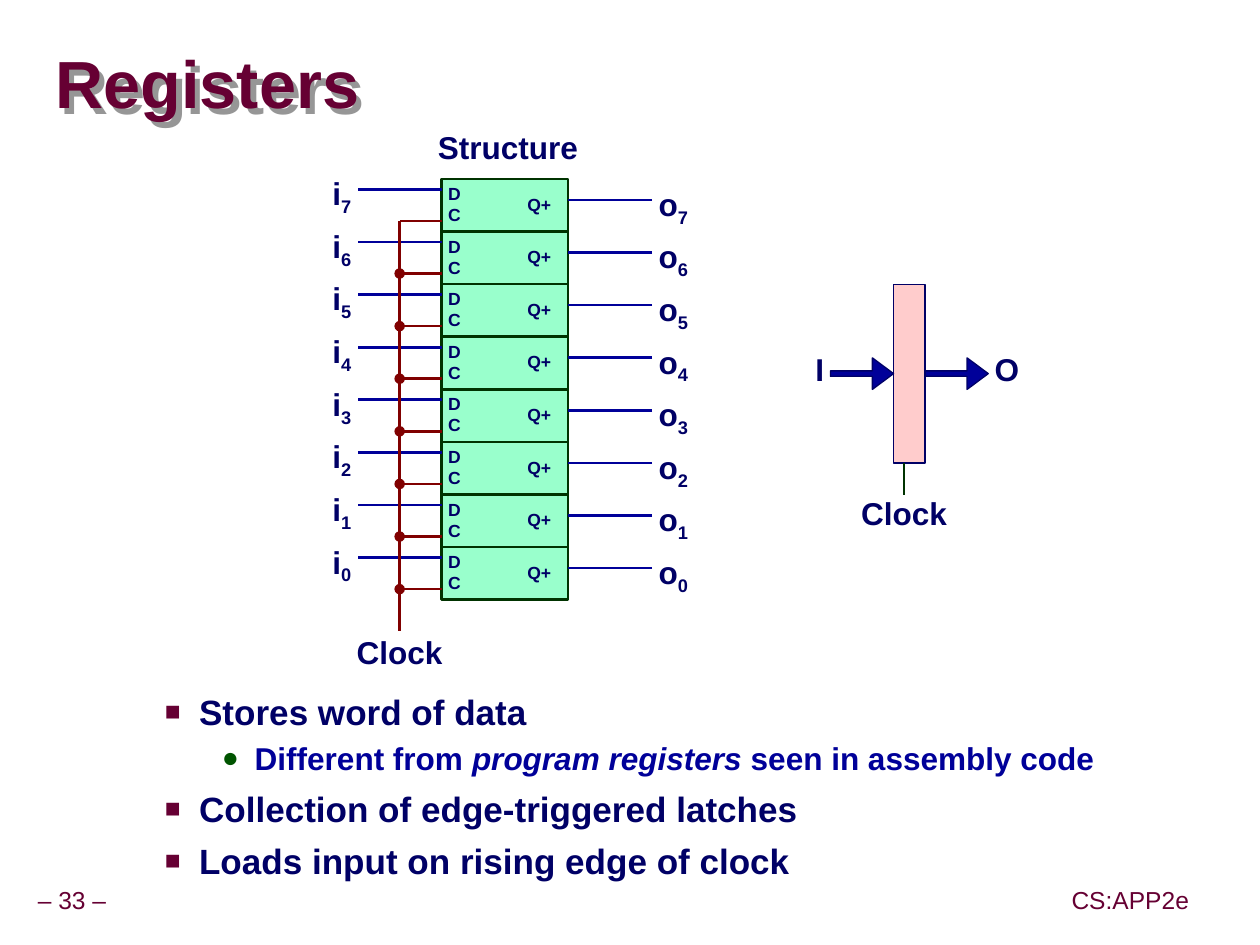
import dataclasses
import pptx
import pptx.util
import pptx.dml.color
import pptx.enum.shapes
import pptx.enum.text
import pptx.oxml
import pptx.oxml.ns

Cm = pptx.util.Cm
Pt = pptx.util.Pt
Kind = pptx.enum.shapes.MSO_SHAPE
Align = pptx.enum.text.PP_ALIGN
Anchor = pptx.enum.text.MSO_ANCHOR


@dataclasses.dataclass(frozen=True)
class Theme:
    font: str = "Arial"
    wine: str = "660033"
    navy: str = "000066"
    blue: str = "000099"
    red: str = "800000"
    green: str = "003300"
    leaf: str = "005400"
    mint: str = "99FFCC"
    pink: str = "FFCCCC"
    shade: str = "969696"
    head: int = 38
    main: int = 20
    label: int = 18
    foot: int = 14
    pin: int = 10
    wire: float = 1.5
    thin: float = 0.75


THEME = Theme()


def rgb(color):
    return pptx.dml.color.RGBColor.from_string(color)


def node(tag, inner="", **attrs):
    pairs = " ".join(f'{key}="{value}"' for key, value in attrs.items())
    space = pptx.oxml.ns.nsdecls("a")
    return pptx.oxml.parse_xml(f"<a:{tag} {space} {pairs}>{inner}</a:{tag}>")


def write(para, text, size=THEME.label, color=THEME.navy, bold=True,
          align=Align.LEFT, line=0.9, before=0, sub="", slant=""):
    para.alignment = align
    para.line_spacing = line
    para.space_before = Pt(before)
    start, mid, end = text.partition(slant) if slant else (text, "", "")
    for part in filter(None, (start, mid, end, sub)):
        run = para.add_run()
        run.text = part
        font = run.font
        font.name, font.size, font.bold = THEME.font, Pt(size), bold
        font.color.rgb = rgb(color)
        if part == slant:
            font.italic = True
        if part == sub:
            run._r.get_or_add_rPr().set("baseline", "-25000")


def frame(tree, box, pad=0.13, wrap=True):
    item = tree.add_textbox(*map(Cm, box)).text_frame
    item.word_wrap = wrap
    item.margin_left = item.margin_right = Cm(pad)
    item.margin_top = item.margin_bottom = Cm(0.13)
    return item


def label(tree, box, text, wrap=True, **form):
    write(frame(tree, box, wrap=wrap).paragraphs[0], text, **form)


def center(tree, mid, top, text, **form):
    width = 3.2
    label(tree, (mid - width / 2, top, width, 0.93), text,
          wrap=False, align=Align.CENTER, **form)


def block(tree, kind, box, fill, edge=None, width=THEME.wire):
    item = tree.add_shape(kind, *map(Cm, box))
    item.shadow.inherit = False
    item.fill.solid()
    item.fill.fore_color.rgb = rgb(fill)
    if edge:
        item.line.color.rgb = rgb(edge)
        item.line.width = Pt(width)
    else:
        item.line.fill.background()
    return item


def wire(tree, ends, color):
    item = tree.add_connector(pptx.enum.shapes.MSO_CONNECTOR.STRAIGHT,
                              *map(Cm, ends))
    item.line.color.rgb = rgb(color)
    item.line.width = Pt(THEME.wire)
    item._element.spPr.append(node("effectLst"))


def title(slide, box, text):
    item = slide.shapes.title
    item.left, item.top, item.width, item.height = map(Cm, box)
    body = item.text_frame
    body.margin_left = body.margin_right = 0
    body.margin_top = body.margin_bottom = 0
    body.vertical_anchor = Anchor.MIDDLE
    write(body.paragraphs[0], text, size=THEME.head, color=THEME.wine, line=0.87)
    shadow = (f'<a:outerShdw dist="{Cm(0.15)}" dir="2700000">'
              f'<a:srgbClr val="{THEME.shade}"/></a:outerShdw>')
    item._element.spPr.append(node("effectLst", shadow))


def latches(slide, box, count):
    x, y, w, h = box
    tree = slide.shapes.add_group_shape().shapes
    step = h / count
    unit = step / 5
    cell, end, bus = x + 14 * unit, x + 26 * unit, x + 10 * unit
    tall, wide, pin = 0.93, 6 * unit, 3 * unit
    for row in range(count):
        top = y + row * step
        bit = str(count - 1 - row)
        inlet, outlet, clock = (top + n * unit for n in (1, 2, 4))
        block(tree, Kind.RECTANGLE, (cell, top, end - cell, step),
              THEME.mint, THEME.green)
        wire(tree, (cell, inlet, x + wide, inlet), THEME.blue)
        wire(tree, (x + w - wide, outlet, end, outlet), THEME.blue)
        wire(tree, (cell, clock, bus, clock), THEME.red)
        if row:
            block(tree, Kind.OVAL,
                  (bus - unit / 2, clock - unit / 2, unit, unit), THEME.red)
        label(tree, (cell, top, pin, pin), "D", size=THEME.pin)
        label(tree, (cell, outlet, pin, pin), "C", size=THEME.pin)
        label(tree, (end - 5 * unit, inlet, 4 * unit, pin), "Q+",
              size=THEME.pin, align=Align.RIGHT)
        label(tree, (x, top - unit, wide, tall), "i", sub=bit, align=Align.RIGHT)
        label(tree, (x + w - wide, top, wide, tall), "o", sub=bit)
    foot = y + h + 3 * unit
    wire(tree, (bus, y + 4 * unit, bus, foot), THEME.red)
    center(tree, bus, foot, "Clock")
    center(tree, x + 20.3 * unit, y - 5 * unit, "Structure")


def symbol(slide, box):
    x, y, w, h = box
    tree = slide.shapes.add_group_shape().shapes
    unit = w / 27
    wide, bar = 6 * unit, x + 12 * unit
    block(tree, Kind.RECTANGLE, (bar, y, 3 * unit, h),
          THEME.pink, THEME.navy, THEME.thin)
    for left in (bar - wide, bar + 3 * unit):
        arrow = block(tree, Kind.RIGHT_ARROW, (left, y + 7 * unit, wide, 3 * unit),
                      THEME.blue, THEME.navy, THEME.thin)
        arrow.adjustments[0] = 0.17
        arrow.adjustments[1] = 0.67
    label(tree, (x, y + wide, wide, 0.93), "I", align=Align.RIGHT)
    label(tree, (x + w - wide, y + wide, wide, 0.93), "O")
    stem, foot = bar + unit, y + h + 3 * unit
    wire(tree, (stem, y + h, stem, foot), THEME.green)
    center(tree, stem, foot - 0.05, "Clock")


def points(slide, box, items):
    body = frame(slide.shapes, box, pad=0.25)
    looks = (
        (2.06, -0.69, "■", THEME.wine, 75, dict(size=THEME.main, line=1, before=6)),
        (3.18, -0.66, "●", THEME.leaf, 90,
         dict(color=THEME.blue, line=1.07, before=2)),
    )
    for index, (level, text, slant) in enumerate(items):
        para = body.add_paragraph() if index else body.paragraphs[0]
        left, hang, mark, color, scale, form = looks[level]
        para.level = level
        props = para._p.get_or_add_pPr()
        props.set("marL", str(Cm(left)))
        props.set("indent", str(Cm(hang)))
        props.append(node("buClr", f'<a:srgbClr val="{color}"/>'))
        props.append(node("buSzPct", val=scale * 1000))
        props.append(node("buFont", typeface=THEME.font))
        props.append(node("buChar", char=mark))
        if not index:
            form = form | dict(before=0)
        write(para, text, slant=slant, **form)


def footer(slide, box, page, book):
    x, y, w, h = box
    for mid, text in ((x, page), (x + w, book)):
        center(slide.shapes, mid, y, text,
               size=THEME.foot, color=THEME.wine, bold=False)


def main():
    deck = pptx.Presentation()
    deck.slide_width, deck.slide_height = Cm(25.37), Cm(19.02)
    slide = deck.slides.add_slide(deck.slide_layouts[5])
    title(slide, (1.12, 0.69, 24.18, 2.16), "Registers")
    points(slide, (1.7, 13.77, 23.04, 4.1), (
        (0, "Stores word of data", ""),
        (1, "Different from program registers seen in assembly code",
         "program registers"),
        (0, "Collection of edge-triggered latches", ""),
        (0, "Loads input on rising edge of clock", ""),
    ))
    symbol(slide, (15.45, 5.72, 5.72, 3.6))
    latches(slide, (5.93, 3.6, 8.47, 8.47), 8)
    footer(slide, (1.45, 17.75, 21.31, 0.79), "– 33 –", "CS:APP2e")
    deck.save("out.pptx")


if __name__ == "__main__":
    main()
